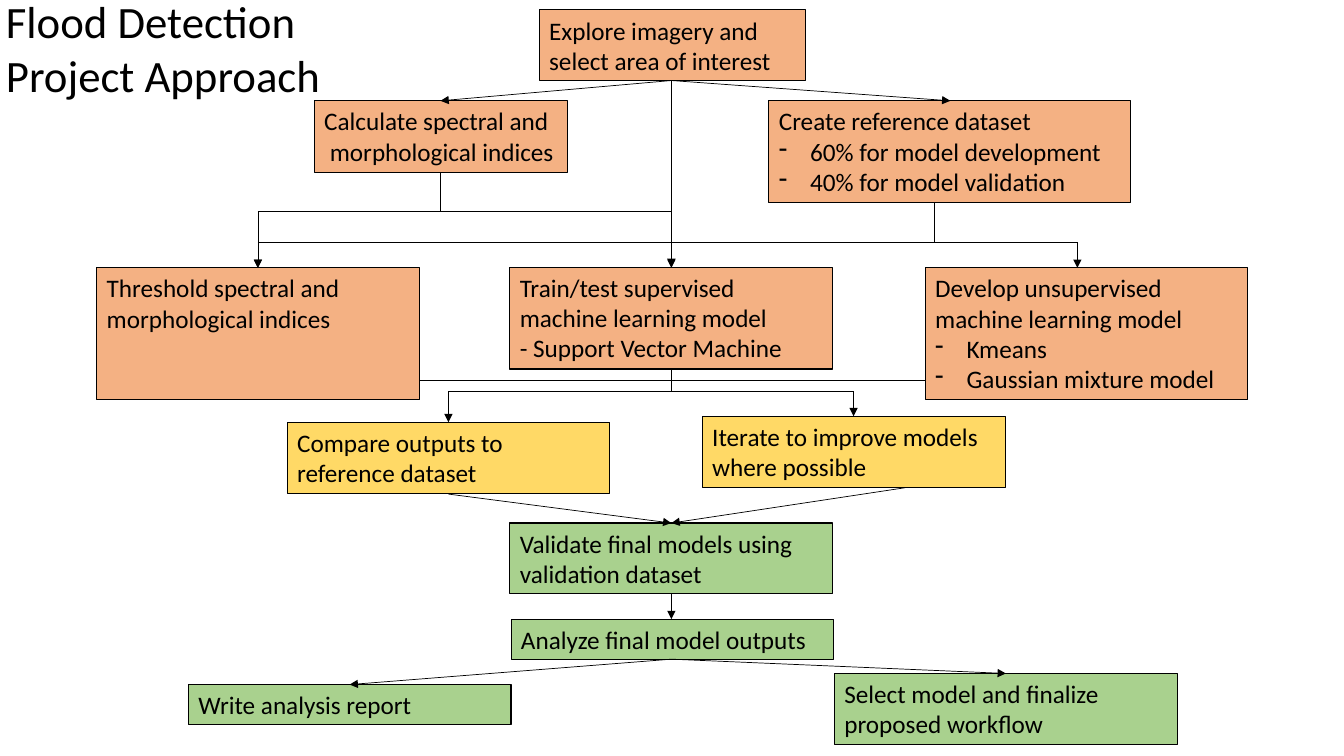
from lxml.etree import SubElement
from pptx import Presentation
from pptx.dml.color import RGBColor
from pptx.enum.shapes import MSO_CONNECTOR as Link, MSO_SHAPE as Form
from pptx.enum.text import MSO_ANCHOR as Anchor, PP_ALIGN as Align
from pptx.oxml.ns import qn
from pptx.util import Cm, Pt

BLACK = RGBColor(0x00, 0x00, 0x00)
ORANGE = RGBColor(0xF4, 0xB1, 0x83)
YELLOW = RGBColor(0xFF, 0xD9, 0x66)
GREEN = RGBColor(0xA9, 0xD1, 0x8E)
WIDE = 8.13  # usual box width
MID = 16.92  # centre axis of the flow


class Chart:
    font = "Calibri"
    indent = Cm(0.79)

    def __init__(self, slide):
        self.shapes = slide.shapes

    def label(self, shape, lines, size, wrap=True):
        """Fill a shape with paragraphs; lines starting with "* " get a dash bullet."""
        frame = shape.text_frame
        frame.word_wrap = wrap
        frame.vertical_anchor = Anchor.TOP
        frame.text = "\n".join(line.removeprefix("* ") for line in lines)
        for para, line in zip(frame.paragraphs, lines):
            para.alignment = Align.LEFT
            if line.startswith("* "):
                props = para._p.get_or_add_pPr()
                props.set("marL", str(self.indent))
                props.set("indent", str(-self.indent))
                SubElement(props, qn("a:buFontTx"))
                SubElement(props, qn("a:buChar")).set("char", "-")
            for run in para.runs:
                run.font.name = self.font
                run.font.size = Pt(size)
                run.font.color.rgb = BLACK

    def title(self, text, *place):
        self.label(self.shapes.add_textbox(*map(Cm, place)), [text], 32)

    def box(self, fill, place, *lines, wrap=True):
        shape = self.shapes.add_shape(Form.RECTANGLE, *map(Cm, place))
        shape.shadow.inherit = False
        shape.fill.solid()
        shape.fill.fore_color.rgb = fill
        shape.line.color.rgb = BLACK
        shape.line.width = Pt(0.75)
        self.label(shape, lines, 18, wrap)

    def line(self, start, end, arrow=False):
        link = self.shapes.add_connector(Link.STRAIGHT, *map(Cm, start + end))
        link.line.color.rgb = BLACK
        link.line.width = Pt(0.5)
        if arrow:
            SubElement(link.line._ln, qn("a:tailEnd")).set("type", "triangle")
        SubElement(link._element.spPr, qn("a:effectLst"))

    def fork(self, bar, left, right):
        """Draw a level bar with an arrow dropping from each end."""
        self.line((left[0], bar), (right[0], bar))
        for tip in (left, right):
            self.line((tip[0], bar), tip, True)


def main():
    deck = Presentation()
    deck.slide_width, deck.slide_height = Cm(33.87), Cm(19.05)
    flow = Chart(deck.slides.add_slide(deck.slide_layouts[6]))

    flow.title("Flood Detection Project Approach", -0.1, -0.28, 9.3, 3)

    flow.box(ORANGE, (13.59, 0.25, 6.71, 1.78),
             "Explore imagery and", "select area of interest")
    flow.box(ORANGE, (7.92, 2.54, 6.38, 1.8),
             "Calculate spectral and", " morphological indices", wrap=False)
    flow.box(ORANGE, (19.38, 2.54, 9.12, 2.57), "Create reference dataset",
             "* 60% for model development", "* 40% for model validation")
    flow.box(ORANGE, (2.44, 6.75, WIDE, 3.33),
             "Threshold spectral and morphological indices")
    flow.box(ORANGE, (12.85, 6.73, WIDE, 2.57),
             "Train/test supervised machine learning model",
             "- Support Vector Machine")
    flow.box(ORANGE, (23.32, 6.75, WIDE, 3.33),
             "Develop unsupervised machine learning model",
             "* Kmeans", "* Gaussian mixture model")
    flow.box(YELLOW, (7.24, 10.64, WIDE, 1.8),
             "Compare outputs to reference dataset")
    flow.box(YELLOW, (17.7, 10.49, 7.65, 1.8),
             "Iterate to improve models where possible")
    flow.box(GREEN, (12.85, 13.18, WIDE, 1.78),
             "Validate final models using validation dataset")
    flow.box(GREEN, (12.88, 15.6, WIDE, 1.02), "Analyze final model outputs")
    flow.box(GREEN, (4.75, 17.25, WIDE, 1.02), "Write analysis report")
    flow.box(GREEN, (21.03, 16.97, 8.64, 1.8),
             "Select model and finalize proposed workflow")

    for start, end in (
        ((MID, 2.03), (11.1, 2.54)),
        ((MID, 2.03), (23.95, 2.54)),
        ((MID, 2.03), (MID, 6.73)),
        ((11.3, 12.45), (MID, 13.18)),
        ((22.81, 12.29), (MID, 13.18)),
        ((MID, 14.96), (MID, 15.6)),
        ((MID, 16.61), (25.35, 16.97)),
        ((MID, 16.61), (8.81, 17.25)),
    ):
        flow.line(start, end, True)

    for start, end in (
        ((11.1, 4.34), (11.1, 5.33)),
        ((23.55, 5.11), (23.55, 6.1)),
        ((MID, 9.3), (MID, 9.86)),
        ((10.57, 9.58), (23.32, 9.58)),
    ):
        flow.line(start, end)

    flow.fork(5.33, (6.5, 6.75), (MID, 6.75))
    flow.fork(6.1, (6.5, 6.75), (27.15, 6.75))
    flow.fork(9.86, (11.3, 10.64), (21.51, 10.49))

    deck.save("out.pptx")


if __name__ == "__main__":
    main()
